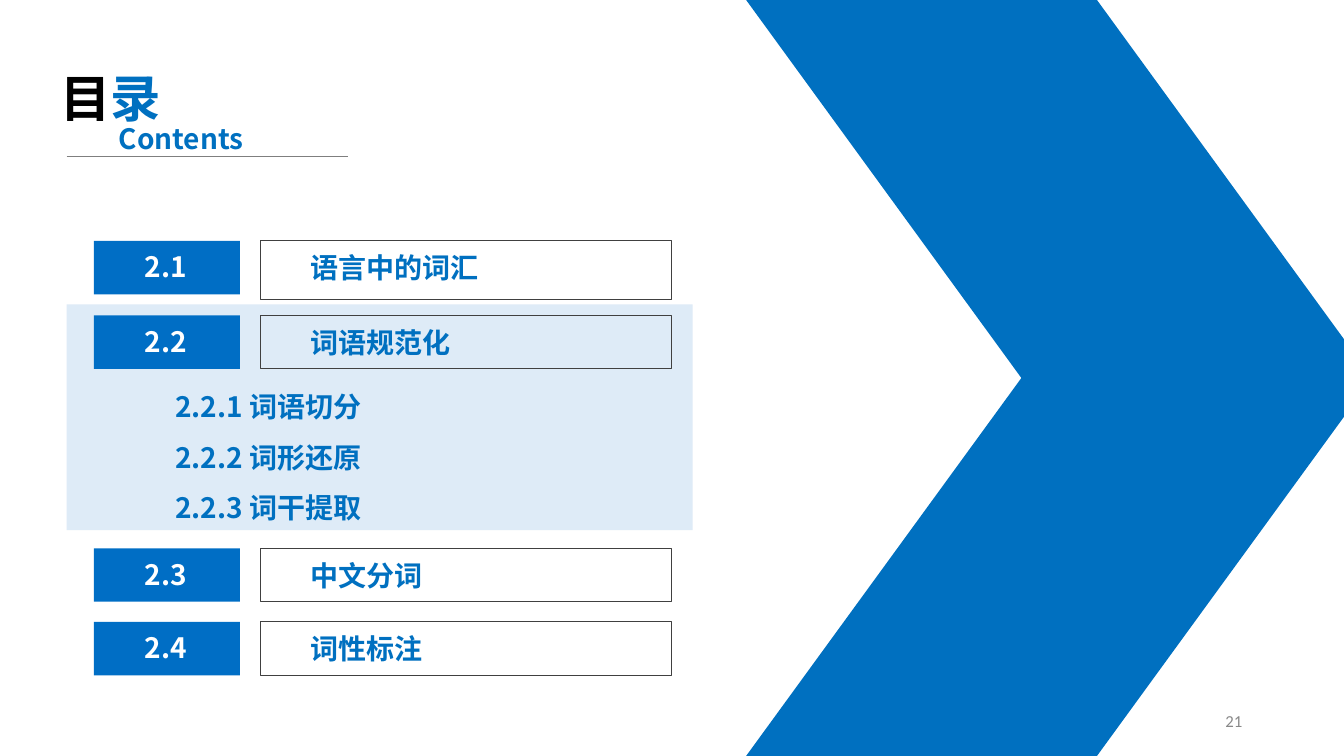
from lxml import etree
from pptx import Presentation
from pptx.dml.color import RGBColor
from pptx.enum.shapes import MSO_CONNECTOR, MSO_SHAPE
from pptx.enum.text import MSO_ANCHOR, MSO_AUTO_SIZE, PP_ALIGN
from pptx.oxml.ns import qn
from pptx.util import Inches, Pt

RECTANGLE = MSO_SHAPE.RECTANGLE
PARALLELOGRAM = MSO_SHAPE.PARALLELOGRAM
STRAIGHT = MSO_CONNECTOR.STRAIGHT
LEFT, CENTER, RIGHT = PP_ALIGN.LEFT, PP_ALIGN.CENTER, PP_ALIGN.RIGHT
TOP, MIDDLE = MSO_ANCHOR.TOP, MSO_ANCHOR.MIDDLE
GROW, FIXED = MSO_AUTO_SIZE.SHAPE_TO_FIT_TEXT, MSO_AUTO_SIZE.NONE

BLUE = RGBColor(0x00, 0x70, 0xC0)
BADGE_BLUE = RGBColor(0x00, 0x6E, 0xC5)
PALE_BLUE = RGBColor(0xDE, 0xEB, 0xF7)
BLACK = RGBColor(0x00, 0x00, 0x00)
WHITE = RGBColor(0xFF, 0xFF, 0xFF)
FRAME_GRAY = RGBColor(0x40, 0x40, 0x40)
RULE_GRAY = RGBColor(0x7F, 0x7F, 0x7F)
NUMBER_GRAY = RGBColor(0x89, 0x89, 0x89)


class ContentsSlide:
    """Style of the contents page and the slide it is drawn on."""

    heading_font = "Noto Sans CJK SC"

    def __init__(self, slide):
        self.shapes = slide.shapes

    def block(self, left, top, width, height, fill=None, line=None, preset=RECTANGLE):
        shape = self.shapes.add_shape(
            preset, Inches(left), Inches(top), Inches(width), Inches(height))
        shape.shadow.inherit = False
        if fill is None:
            shape.fill.background()
        else:
            shape.fill.solid()
            shape.fill.fore_color.rgb = fill
        if line is None:
            shape.line.fill.background()
        else:
            shape.line.color.rgb = line
            shape.line.width = Pt(0.75)
        return shape

    def chevron_half(self, top, flipped=False):
        half = self.block(7.4, top, 6.21, 3.75, BLUE, preset=PARALLELOGRAM)
        half.adjustments[0] = 0.728
        if flipped:
            half._element.spPr.xfrm.set("flipV", "1")

    def rule(self, left, right, top):
        line = self.shapes.add_connector(
            STRAIGHT, Inches(left), Inches(top), Inches(right), Inches(top))
        line.line.color.rgb = RULE_GRAY
        line.line.width = Pt(0.5)
        etree.SubElement(line._element.spPr, qn("a:effectLst"))

    def text(self, left, top, width, height, paragraphs, size=20, bold=True,
             font=heading_font, align=LEFT, spacing=None, anchor=TOP, auto_size=GROW):
        """Each paragraph is a list of (text, colour) pairs."""
        box = self.shapes.add_textbox(
            Inches(left), Inches(top), Inches(width), Inches(height))
        frame = box.text_frame
        frame_format = {"word_wrap": True, "vertical_anchor": anchor, "auto_size": auto_size}
        for name, value in frame_format.items():
            setattr(frame, name, value)
        font_format = {"name": font, "size": Pt(size), "bold": bold}
        for index, pieces in enumerate(paragraphs):
            paragraph = frame.add_paragraph() if index else frame.paragraphs[0]
            paragraph.alignment = align
            paragraph.line_spacing = spacing
            for wording, color in pieces:
                run = paragraph.add_run()
                run.text = wording
                for name, value in font_format.items():
                    setattr(run.font, name, value)
                run.font.color.rgb = color
                # East Asian typeface
                etree.SubElement(run._r.get_or_add_rPr(), qn("a:ea"), typeface=font)

    def section(self, top, number, title, frame_height=0.53):
        self.block(2.58, top, 4.08, frame_height, line=FRAME_GRAY)
        self.text(2.98, top + 0.05, 3.68, 0.44, [[(title, BLUE)]])
        self.block(0.93, top, 1.45, 0.53, BADGE_BLUE)
        self.text(1.12, top + 0.04, 1.05, 0.44, [[(number, WHITE)]], align=CENTER)


def main():
    deck = Presentation()
    deck.slide_width, deck.slide_height = Inches(13.33), Inches(7.5)
    page = ContentsSlide(deck.slides.add_slide(deck.slide_layouts[6]))

    # Highlight of the current section and the large chevron
    page.block(0.66, 3.02, 6.21, 2.24, PALE_BLUE)
    page.chevron_half(3.75)
    page.chevron_half(0, flipped=True)

    # Heading
    page.text(0.5, 0.62, 1.57, 0.71, [[("目", BLACK), ("录", BLUE)]], size=36)
    page.rule(0.66, 3.45, 1.55)
    page.text(1.08, 1.16, 1.57, 0.44, [[("Contents", BLUE)]])

    # Sections
    page.section(2.39, "2.1", "语言中的词汇", frame_height=0.58)
    page.section(3.13, "2.2", "词语规范化")
    page.section(5.44, "2.3", "中文分词")
    page.section(6.17, "2.4", "词性标注")

    # Topics of the current section
    topics = ["2.2.1 词语切分", "2.2.2 词形还原", "2.2.3 词干提取"]
    page.text(1.64, 3.65, 6.81, 1.56, [[(topic, BLUE)] for topic in topics], spacing=1.5)

    # Page number
    page.text(9.42, 6.95, 3, 0.4, [[("21", NUMBER_GRAY)]], size=12, bold=False,
              font="Calibri", align=RIGHT, anchor=MIDDLE, auto_size=FIXED)

    deck.save("out.pptx")


if __name__ == "__main__":
    main()
